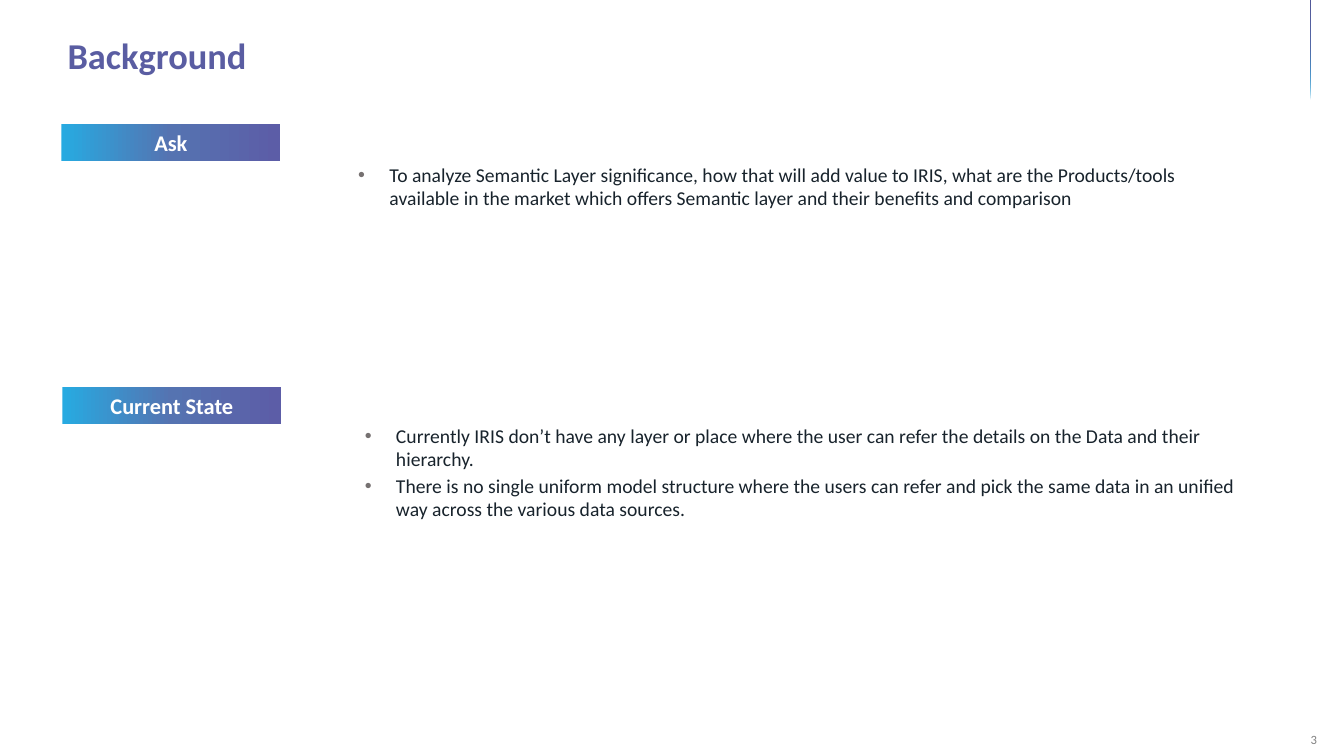
from pptx import Presentation
from pptx.dml.color import RGBColor
from pptx.enum.shapes import MSO_SHAPE
from pptx.enum.text import MSO_ANCHOR, PP_ALIGN
from pptx.oxml import parse_xml
from pptx.oxml.ns import nsdecls
from pptx.util import Inches, Pt

COLORS = {"title": "5A5DA2", "number": "808080", "body": "18232C",
          "bullet": "767171", "white": "FFFFFF"}
FONT = "Calibri"
LABEL_GRADIENT = [(0, "27AAE1"), (50, "5573B1"), (99, "5C5DA7")]
STRIPE_GRADIENT = [(0, "32A7DA"), (53, "5A5DA2"), (100, "505290")]

TITLE = "Background"
PAGE_NUMBER = "3"
SECTIONS = [
    {"label": "Ask", "label_at": (0.61, 1.23), "body_at": (2.43, 1.34, 10.04, 1.01),
     "points": ["To analyze Semantic Layer significance, how that will add value to IRIS, "
                "what are the Products/tools available in the market which offers "
                "Semantic layer and their benefits and comparison"]},
    {"label": "Current State", "label_at": (0.62, 3.84), "body_at": (2.49, 4.03, 9.98, 1.31),
     "points": ["Currently IRIS don’t have any layer or place where the user can refer "
                "the details on the Data and their hierarchy.",
                "There is no single uniform model structure where the users can refer and "
                "pick the same data in an unified way across the various data sources."]},
]
LABEL_SIZE = (2.17, 0.37)

# Each stripe: straight corners, then the two curves of its rounded end.
STRIPES = [
    ([(13.33, 0.41), (13.33, 0.55), (13.19, 0.72)],
     [[(13.18, 0.73), (13.15, 0.74), (13.13, 0.72)],
      [(13.11, 0.71), (13.11, 0.68), (13.13, 0.66)]]),
    ([(13.33, 0.11), (13.33, 0.25), (13.13, 0.49)],
     [[(13.12, 0.51), (13.09, 0.51), (13.07, 0.5)],
      [(13.06, 0.48), (13.05, 0.45), (13.07, 0.43)]]),
    ([(13.18, 0), (13.29, 0), (13.17, 0.15)],
     [[(13.15, 0.17), (13.13, 0.17), (13.11, 0.16)],
      [(13.09, 0.14), (13.09, 0.11), (13.1, 0.1)]]),
]


def rgb(name):
    return RGBColor.from_string(COLORS[name])


def curve_points(start, controls, steps=8):
    corners = [start, *controls]
    for step in range(1, steps + 1):
        t = step / steps
        weights = ((1 - t) ** 3, 3 * t * (1 - t) ** 2, 3 * t * t * (1 - t), t ** 3)
        yield tuple(sum(w * c[axis] for w, c in zip(weights, corners)) for axis in (0, 1))


def stripe_outline(corners, curves):
    outline = list(corners)
    for controls in curves:
        outline.extend(curve_points(outline[-1], controls))
    return outline


def paint_gradient(shape, stops, angle):
    shape.shadow.inherit = False
    shape.line.fill.background()
    shape.fill.gradient()
    shape.fill.gradient_angle = angle
    stop_list = shape.fill._xPr.find(".//{*}gsLst")
    for stop in list(stop_list):
        stop_list.remove(stop)
    for position, color in stops:
        stop_list.append(parse_xml(
            f'<a:gs {nsdecls("a")} pos="{position * 1000}"><a:srgbClr val="{color}"/></a:gs>'))


def style(paragraph, size, color, bold=False, align=PP_ALIGN.LEFT):
    paragraph.alignment = align
    font = paragraph.font
    font.name, font.size, font.bold = FONT, Pt(size), bold
    font.color.rgb = rgb(color)


def add_bullet(paragraph):
    properties = paragraph._p.get_or_add_pPr()
    properties.set("marL", str(Inches(1.32)))
    properties.set("indent", str(Inches(-0.31)))
    for element in (f'<a:buClr {nsdecls("a")}><a:srgbClr val="{COLORS["bullet"]}"/></a:buClr>',
                    f'<a:buFont {nsdecls("a")} typeface="Arial"/>',
                    f'<a:buChar {nsdecls("a")} char="•"/>'):
        properties.append(parse_xml(element))


def add_text(slide, box, text, margin, *look):
    frame = slide.shapes.add_textbox(*map(Inches, box)).text_frame
    frame.word_wrap = True
    frame.vertical_anchor = MSO_ANCHOR.MIDDLE
    frame.margin_left = frame.margin_right = Inches(margin)
    frame.margin_top = frame.margin_bottom = 0
    frame.text = text
    style(frame.paragraphs[0], *look)


def add_stripes(slide):
    outlines = [stripe_outline(*stripe) for stripe in STRIPES]
    builder = slide.shapes.build_freeform(*outlines[0][0], scale=Inches(1))
    for index, outline in enumerate(outlines):
        if index:
            builder.move_to(*outline[0])
        builder.add_line_segments(outline[1:], close=True)
    paint_gradient(builder.convert_to_shape(), STRIPE_GRADIENT, 45)


def add_section(slide, section):
    body = slide.shapes.add_shape(MSO_SHAPE.ROUNDED_RECTANGLE, *map(Inches, section["body_at"]))
    body.adjustments[0] = 0.05
    body.shadow.inherit = False
    body.fill.solid()
    body.fill.fore_color.rgb = rgb("white")
    body.line.fill.background()
    frame = body.text_frame
    frame.word_wrap = True
    frame.vertical_anchor = MSO_ANCHOR.MIDDLE
    for index, point in enumerate(section["points"]):
        paragraph = frame.add_paragraph() if index else frame.paragraphs[0]
        paragraph.text = point
        add_bullet(paragraph)
        paragraph.space_before = Pt(1 if index else 0)
        paragraph.space_after = Pt(1)
        style(paragraph, 14, "body")

    label = slide.shapes.add_shape(
        MSO_SHAPE.RECTANGLE, *map(Inches, section["label_at"] + LABEL_SIZE))
    paint_gradient(label, LABEL_GRADIENT, 0)
    label.text_frame.vertical_anchor = MSO_ANCHOR.MIDDLE
    label.text_frame.text = section["label"]
    style(label.text_frame.paragraphs[0], 16, "white", True, PP_ALIGN.CENTER)


def main():
    """Build the Background slide and save it."""
    presentation = Presentation()
    presentation.slide_width, presentation.slide_height = Inches(13.33), Inches(7.5)
    slide = presentation.slides.add_slide(presentation.slide_layouts[6])
    add_stripes(slide)
    add_text(slide, (12.77, 7.25, 0.52, 0.17), PAGE_NUMBER, 0.1,
             9, "number", False, PP_ALIGN.CENTER)
    add_text(slide, (0.67, 0.33, 12, 0.44), TITLE, 0, 26, "title", True)
    for section in SECTIONS:
        add_section(slide, section)
    presentation.save("out.pptx")


if __name__ == "__main__":
    main()
